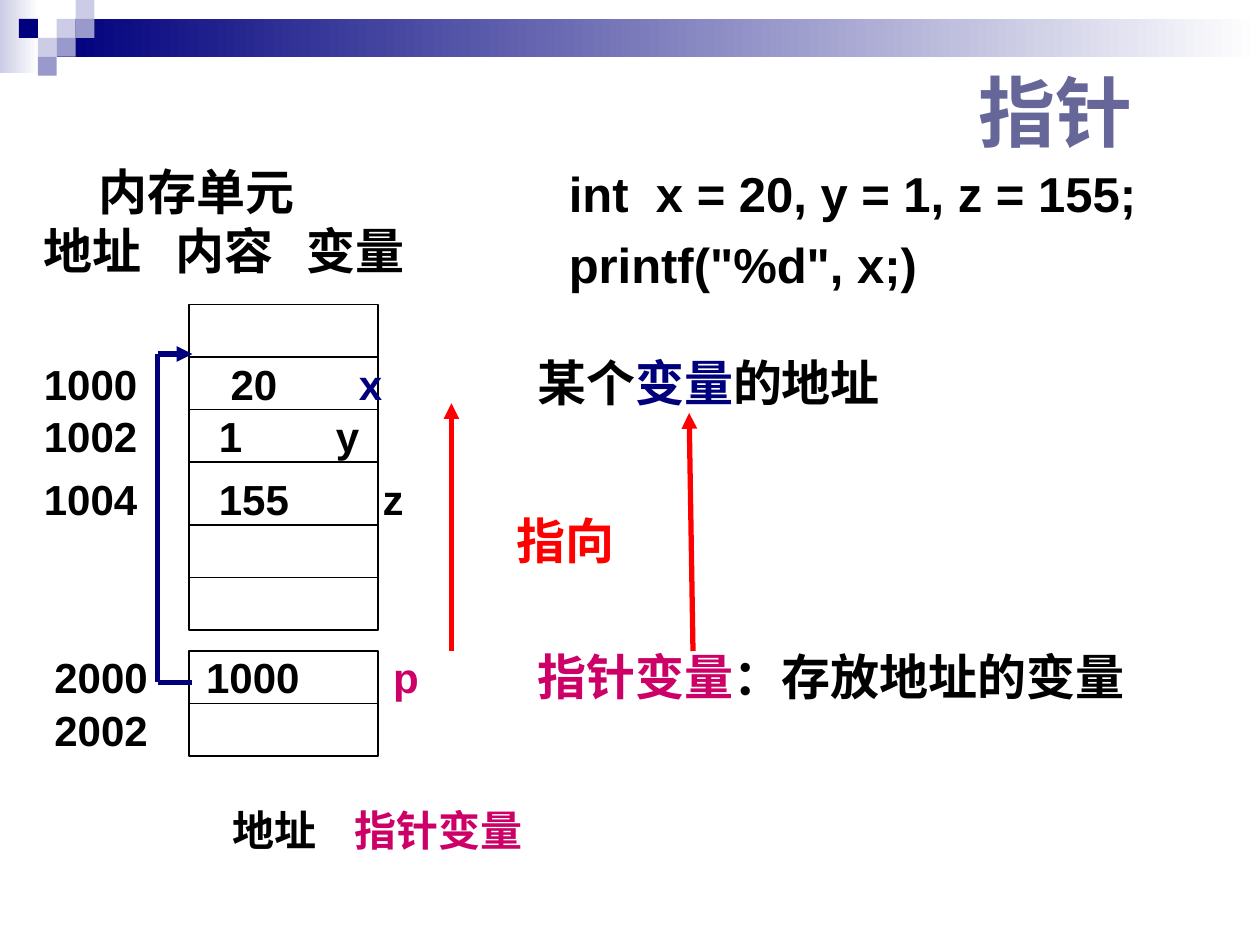
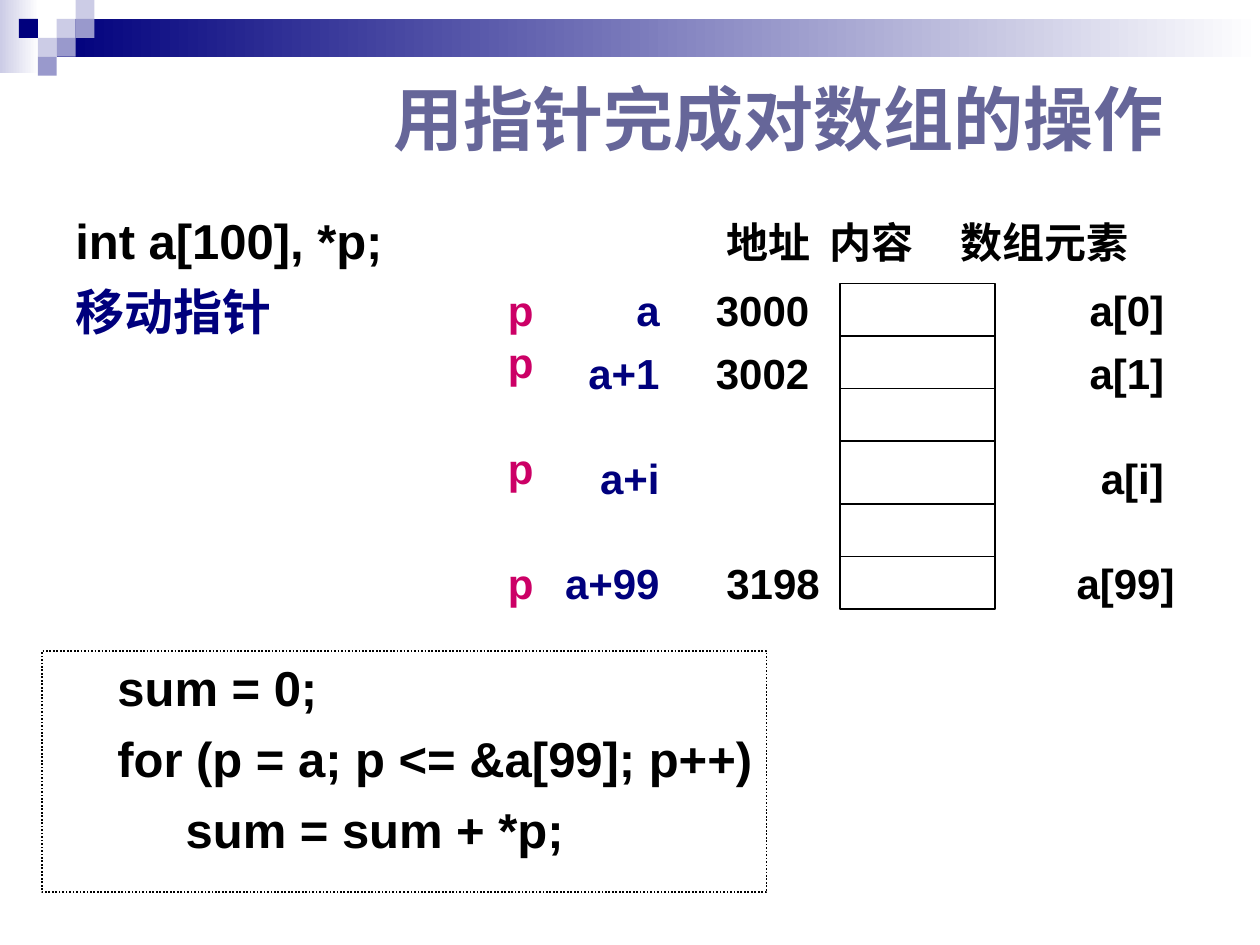
"""Build two slides on C pointers: memory cells, and walking an array."""
from itertools import accumulate, pairwise

from lxml.etree import SubElement
from pptx import Presentation
from pptx.dml.color import RGBColor
from pptx.enum.dml import MSO_LINE
from pptx.enum.shapes import MSO_CONNECTOR, MSO_SHAPE
from pptx.enum.text import MSO_ANCHOR as ANCHOR, PP_ALIGN as ALIGN
from pptx.oxml.ns import qn
from pptx.util import Pt

COLOURS = {"black": "000000", "navy": "00007D", "title": "666699", "pink": "CC0066",
           "red": "FF0000", "pale": "CCCCE6", "lilac": "9999CC", "white": "FFFFFF"}
CJK_FONT = "Noto Sans CJK SC"
SERIF = "Times New Roman"

TILE = 10.8
BANDS = [(0, 0, 22.3, 41.8, "pale"), (32.4, TILE, 687.6, 21.6, "navy")]
TILES = [(3, 1, "pale"), (4, 0, "pale"), (4, 1, "lilac"), (2, 2, "pale"),
         (1, 1, "navy"), (3, 2, "lilac"), (2, 3, "lilac")]

ROW = 30
MEMORY_ROWS = [ROW, ROW, ROW, 36, ROW, ROW]
POINTER_ROWS = [ROW, ROW]

MEMORY_LABELS = [
    (18, 204, [("1000\t20\t", "black"), ("x", "navy")], (106.7, 180)),
    (18, 234, [("1002\t1\ty", "black")], (100, 166.8)),
    (18, 270, [("1004\t155\tz", "black")], (100, 193.5)),
    (24, 372, [("2000\t1000\t", "black"), ("p", "pink")], (86.7, 193.5)),
    (24, 402, [("2002", "black")], ()),
]
MEMORY_HEADING = [([("\t内存单元", "black")], (31.4,)),
                  ([("地址\t内容\t变量", "black")], (75, 150))]
DECLARATION = [([("int\tx = 20, y = 1, z = 155;", "black")], (49.8,)),
               ([('printf("%d", x;)', "black")], ())]
CAPTIONS = [
    (300, 366, 360, SERIF, [("指针变量", "pink"), ("：存放地址的变量", "black")]),
    (300, 198, 318, SERIF, [("某个", "black"), ("变量", "navy"), ("的地址", "black")]),
    (288, 288, 84, "Arial", [("指向", "red")]),
]
BRACKET = [(110, 390), (90, 390), (90, 202.3), (110, 202.3)]
POINTING_ARROWS = [((396, 372), (393.8, 236)), ((258, 372), (258, 230.4))]

ARRAY_LABELS = [
    (402, 162, "3000\ta[0]", 213.5),
    (402, 198, "3002\ta[1]", 213.5),
    (402, 258, "\ta[i]", 220),
    (408, 318, "3198\ta[99]", 200.1),
]
ELEMENT_ADDRESSES = [("a", 162), ("a+1", 198), ("a+i", 258), ("a+99", 318)]
POINTER_TOPS = [162, 192, 252, 318]
ARRAY_INTRO = [("int a[100], *p;", "black"), ("移动指针", "navy")]
SUM_LOOP = [("sum = 0;", 36), ("for (p = a; p <= &a[99]; p++)", 36),
            ("sum = sum + *p;", 75)]


def colour(name):
    return RGBColor.from_string(COLOURS[name])


def write(box, paragraphs, size=24, font="Arial", anchor=ANCHOR.MIDDLE,
          align=ALIGN.LEFT, before=0):
    """Write (runs, tab stops, optional indent) paragraphs into a box."""
    frame = box.text_frame
    frame.word_wrap = True
    frame.vertical_anchor = anchor
    for index, (runs, tabs, *indent) in enumerate(paragraphs):
        para = frame.add_paragraph() if index else frame.paragraphs[0]
        para.alignment = align
        para.space_before = Pt(before)
        props = para._p.get_or_add_pPr()
        if indent:
            props.set("marL", str(Pt(indent[0])))
        if tabs:
            stops = SubElement(props, qn("a:tabLst"))
            for stop in tabs:
                SubElement(stops, qn("a:tab"), pos=str(Pt(stop)), algn="l")
        for text, tint in runs:
            span = para.add_run()
            span.text = text
            span.font.size = Pt(size)
            span.font.name = font
            span.font.bold = True
            span.font.color.rgb = colour(tint)
            SubElement(span._r.get_or_add_rPr(), qn("a:ea"), typeface=CJK_FONT)


def add_text(page, left, top, width, height, paragraphs, **style):
    box = page.shapes.add_textbox(Pt(left), Pt(top), Pt(width), Pt(height))
    write(box, paragraphs, **style)


def add_rect(page, left, top, width, height):
    box = page.shapes.add_shape(MSO_SHAPE.RECTANGLE, Pt(left), Pt(top),
                                Pt(width), Pt(height))
    box.shadow.inherit = False
    box.fill.background()
    box.line.fill.background()
    return box


def outline(box, weight):
    box.line.color.rgb = colour("black")
    box.line.width = Pt(weight)


def add_line(page, start, end, tint="black", weight=0.75, arrow=False):
    line = page.shapes.add_connector(MSO_CONNECTOR.STRAIGHT, *map(Pt, start + end))
    line.line.color.rgb = colour(tint)
    line.line.width = Pt(weight)
    if arrow:
        SubElement(line.line._get_or_add_ln(), qn("a:tailEnd"), type="triangle")
    SubElement(line._element.spPr, qn("a:effectLst"))


def add_cells(page, left, top, width, heights):
    outline(add_rect(page, left, top, width, sum(heights)), 0.75)
    for offset in accumulate(heights[:-1]):
        add_line(page, (left, top + offset), (left + width, top + offset))


def add_page(deck, title, left, top, width, height, size):
    """Add a page with the shared band, mosaic and title style."""
    page = deck.slides.add_slide(deck.slide_layouts[6])
    for *place, tint in BANDS:
        fill = add_rect(page, *place).fill
        fill.gradient()
        fill.gradient_angle = 0
        for stop, name, position in zip(fill.gradient_stops, (tint, "white"), (0, 1)):
            stop.color.rgb = colour(name)
            stop.position = position
    for column, row, tint in TILES:
        fill = add_rect(page, column * TILE, row * TILE, TILE, TILE).fill
        fill.solid()
        fill.fore_color.rgb = colour(tint)
    add_text(page, left, top, width, height, [([(title, "title")], ())],
             size=size, anchor=ANCHOR.BOTTOM)
    return page


def build_memory_page(deck):
    page = add_page(deck, "指针", 552, 48, 144, 45, 44)
    add_text(page, 18, 84, 276, 84, MEMORY_HEADING, size=28, font=SERIF)
    add_text(page, 318, 90, 366, 81, DECLARATION, size=28, before=7)
    add_cells(page, 108, 174, 108, MEMORY_ROWS)
    add_cells(page, 108, 372, 108, POINTER_ROWS)
    for left, top, runs, tabs in MEMORY_LABELS:
        add_text(page, left, top, 276, ROW, [(runs, tabs)])
    for start, end in pairwise(BRACKET):
        add_line(page, start, end, "navy", 3, arrow=end == BRACKET[-1])
    add_text(page, 126, 456, 268, 36,
             [([("地址\t", "black"), ("指针变量", "pink")], (69.5,))], font=SERIF)
    for left, top, width, font, runs in CAPTIONS:
        add_text(page, left, top, width, 41, [(runs, ())], size=28, font=font, before=7)
    for start, end in POINTING_ARROWS:
        add_line(page, start, end, "red", 3, arrow=True)


def build_array_page(deck):
    page = add_page(deck, "用指针完成对数组的操作", 218, 37.5, 479, 57, 40)
    add_text(page, 0, 116.6, 258, 90, [([run], (), 36) for run in ARRAY_INTRO],
             size=28, anchor=ANCHOR.TOP, before=7)
    add_cells(page, 480, 162, 88.6, MEMORY_ROWS)
    add_text(page, 408, 120, 294, 36,
             [([("地址\t内容\t数组元素", "black")], (58.8, 133.6))], font=SERIF)
    for left, top, text, stop in ARRAY_LABELS:
        add_text(page, left, top, 276, ROW, [([(text, "black")], (stop,))])
    for text, top in ELEMENT_ADDRESSES:
        add_text(page, 312, top, 72, ROW, [([(text, "navy")], ())], align=ALIGN.RIGHT)
    for top in POINTER_TOPS:
        add_text(page, 270, top, 42, ROW, [([("p", "pink")], ())], align=ALIGN.RIGHT)
    loop_box = add_rect(page, 24, 372, 414, 138)
    outline(loop_box, 1)
    loop_box.line.dash_style = MSO_LINE.ROUND_DOT
    write(loop_box, [([(text, "black")], (), indent) for text, indent in SUM_LOOP],
          size=28, anchor=ANCHOR.TOP, before=7)


def main():
    deck = Presentation()
    deck.slide_width, deck.slide_height = Pt(720), Pt(540)
    build_memory_page(deck)
    build_array_page(deck)
    deck.save("out.pptx")


if __name__ == "__main__":
    main()
